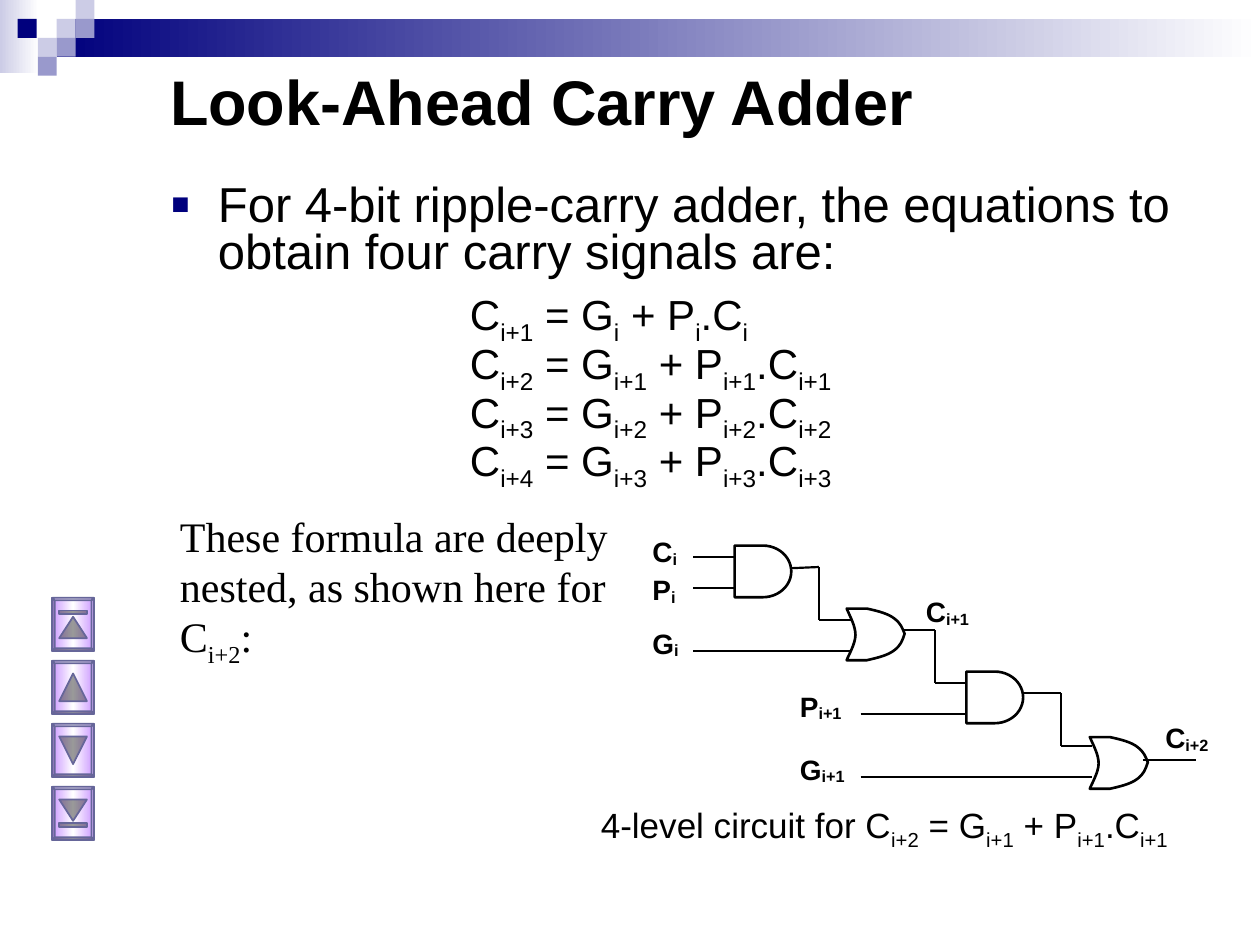
from dataclasses import dataclass
from itertools import pairwise

from lxml.etree import SubElement
from pptx import Presentation
from pptx.dml.color import RGBColor
from pptx.enum.shapes import MSO_CONNECTOR, MSO_SHAPE
from pptx.enum.text import MSO_ANCHOR, MSO_AUTO_SIZE, PP_ALIGN
from pptx.oxml.ns import qn
from pptx.util import Inches, Pt

COLORS = {
    "navy": "00007D", "lavender": "CCCCE6", "violet": "9999CC", "white": "FFFFFF",
    "black": "000000", "button": "CC99FF", "button_line": "666699",
}


@dataclass
class Block:
    left: float
    top: float
    width: float
    height: float
    colors: tuple[str, ...]


@dataclass
class Label:
    left: float
    top: float
    lines: tuple[str, ...]
    width: float = 0.68
    height: float = 0.39
    spacing: float = 1.0


def color(name: str) -> RGBColor:
    return RGBColor.from_string(COLORS[name])


def fill_shape(shape, names: tuple[str, ...], angle: int = 0) -> None:
    """One name gives a solid fill, several give evenly spaced gradient stops."""
    if len(names) == 1:
        shape.fill.solid()
        shape.fill.fore_color.rgb = color(names[0])
        return
    shape.fill.gradient()
    shape.fill.gradient_angle = -angle % 360
    stops = shape._element.spPr.find(qn("a:gradFill")).find(qn("a:gsLst"))
    for stop in list(stops):
        stops.remove(stop)
    for index, name in enumerate(names):
        position = 100000 * index // (len(names) - 1)
        stop = SubElement(stops, qn("a:gs"), pos=str(position))
        SubElement(stop, qn("a:srgbClr"), val=COLORS[name])


def add_text(paragraph, text: str, size: float, font: str = "Arial",
             bold: bool = False, drop: int = 25) -> None:
    """Every second part between bars is a subscript."""
    for index, part in enumerate(text.split("|")):
        run = paragraph.add_run()
        run.text = part
        run.font.size, run.font.name, run.font.bold = Pt(size), font, bold
        run.font.color.rgb = color("black")
        if index % 2:
            run._r.get_or_add_rPr().set("baseline", str(-1000 * drop))


def add_box(shapes, left: float, top: float, width: float, height: float, wrap: bool):
    box = shapes.add_textbox(Inches(left), Inches(top), Inches(width), Inches(height))
    box.text_frame.word_wrap = wrap
    return box.text_frame


def add_block(shapes, block: Block) -> None:
    shape = shapes.add_shape(MSO_SHAPE.RECTANGLE, Inches(block.left), Inches(block.top),
                             Inches(block.width), Inches(block.height))
    shape.shadow.inherit = False
    shape.line.fill.background()
    fill_shape(shape, block.colors)


def add_outline(shapes, left: float, top: float, width: float, height: float,
                paths: list[tuple[str, list]]):
    """Each path is a shading mode and its segments: 1 point a line, 3 a curve."""
    right, bottom = Inches(width), Inches(height)
    builder = shapes.build_freeform(0, 0)
    builder.add_line_segments([(right, 0), (right, bottom), (0, bottom)])
    shape = builder.convert_to_shape(Inches(left), Inches(top))
    shape.shadow.inherit = False
    path_list = shape._element.spPr.find(qn("a:custGeom")).find(qn("a:pathLst"))
    path_list.remove(path_list[0])
    for mode, segments in paths:
        path = SubElement(path_list, qn("a:path"), w=str(right), h=str(bottom), fill=mode)
        for index, points in enumerate(segments):
            tag = "a:moveTo" if index == 0 else "a:lnTo" if len(points) == 1 else "a:cubicBezTo"
            segment = SubElement(path, qn(tag))
            for x, y in points:
                SubElement(segment, qn("a:pt"), x=str(Inches(x)), y=str(Inches(y)))
        SubElement(path, qn("a:close"))
    return shape


def set_line(shape, name: str, width: float) -> None:
    shape.line.color.rgb = color(name)
    shape.line.width = Pt(width)


def add_and_gate(shapes, left: float, top: float) -> None:
    gate = shapes.add_shape(MSO_SHAPE.FLOWCHART_DELAY, Inches(left), Inches(top),
                            Inches(0.45), Inches(0.41))
    gate.shadow.inherit = False
    gate.fill.background()
    set_line(gate, "black", 1.5)


def add_or_gate(shapes, left: float, top: float) -> None:
    segments = [
        [(0, 0)], [(0.16, 0)],
        [(0.25, 0.02), (0.33, 0.04), (0.38, 0.08)],
        [(0.43, 0.12), (0.44, 0.15), (0.46, 0.2)],
        [(0.44, 0.26), (0.43, 0.29), (0.38, 0.33)],
        [(0.33, 0.37), (0.25, 0.39), (0.16, 0.41)],
        [(0, 0.41)],
        [(0.01, 0.38), (0.07, 0.28), (0.07, 0.21)],
        [(0.07, 0.14), (0.03, 0.07), (0, 0)],
    ]
    gate = add_outline(shapes, left, top, 0.46, 0.41, [("norm", segments)])
    gate.fill.background()
    set_line(gate, "black", 1.5)


def add_wire(shapes, points: list[tuple[float, float]]) -> None:
    for start, end in pairwise(points):
        wire = shapes.add_connector(MSO_CONNECTOR.STRAIGHT, *map(Inches, start + end))
        set_line(wire, "black", 1.25)
        SubElement(wire._element.spPr, qn("a:effectLst"))


def add_label(shapes, label: Label) -> None:
    frame = add_box(shapes, label.left, label.top, label.width, label.height, False)
    for index, line in enumerate(label.lines):
        paragraph = frame.add_paragraph() if index else frame.paragraphs[0]
        paragraph.line_spacing = label.spacing
        add_text(paragraph, line, 16, bold=True, drop=10)


def add_button(shapes, top: float, down: bool, bar: bool) -> None:
    """A bevelled button lying on its side, turned upright by its rotation."""
    width, height, edge = 0.42, 0.33, 0.02
    outer = [(0, 0), (width, 0), (width, height), (0, height)]
    inner = [(edge, edge), (width - edge, edge),
             (width - edge, height - edge), (edge, height - edge)]
    symbols = [[(0.15 if bar else 0.1, 0.165), (0.32, 0.055), (0.32, 0.275)]]
    if bar:
        symbols.append([(0.1, 0.055), (0.13, 0.055), (0.13, 0.275), (0.1, 0.275)])
    if down:
        symbols = [[(width - x, y) for x, y in symbol] for symbol in symbols]
    polygons = [("norm", outer)]
    for side, mode in enumerate(("lightenLess", "darken", "darkenLess", "lighten")):
        following = (side + 1) % 4
        polygons.append((mode, [outer[side], outer[following], inner[following], inner[side]]))
    polygons += [("darken", symbol) for symbol in symbols]
    paths = [(mode, [[point] for point in points]) for mode, points in polygons]
    button = add_outline(shapes, 0.37, top, width, height, paths)
    button.rotation = 90
    fill_shape(button, ("button", "white", "button"), 90)
    set_line(button, "button_line", 1)


def place(shape, left: float, top: float, width: float, height: float) -> None:
    shape.left, shape.top = Inches(left), Inches(top)
    shape.width, shape.height = Inches(width), Inches(height)
    shape.text_frame.auto_size = MSO_AUTO_SIZE.NONE


presentation = Presentation()
presentation.slide_width, presentation.slide_height = Inches(10), Inches(7.5)
slide = presentation.slides.add_slide(presentation.slide_layouts[1])
shapes = slide.shapes

# Header band and squares
add_block(shapes, Block(0, 0, 0.31, 0.58, ("lavender", "white")))
add_block(shapes, Block(0.45, 0.15, 9.55, 0.3, ("navy", "white")))
for left, top, name in [(0.45, 0.15, "lavender"), (0.6, 0, "lavender"), (0.6, 0.15, "violet"),
                        (0.3, 0.3, "lavender"), (0.14, 0.15, "navy"), (0.45, 0.3, "violet"),
                        (0.3, 0.45, "violet")]:
    add_block(shapes, Block(left, top, 0.15, 0.15, (name,)))

# Title
title = shapes.title
place(title, 1.25, 0.17, 8.5, 1.25)
title.text_frame.vertical_anchor = MSO_ANCHOR.MIDDLE
title.text_frame.paragraphs[0].alignment = PP_ALIGN.LEFT
add_text(title.text_frame.paragraphs[0], "Look-Ahead Carry Adder", 36, bold=True)

# Bullet and carry equations
body = shapes.placeholders[1]
place(body, 1.25, 1.42, 8.5, 2.58)
bullet = body.text_frame.paragraphs[0]
properties = bullet._p.get_or_add_pPr()
properties.set("marL", str(Inches(0.38)))
properties.set("indent", str(Inches(-0.38)))
SubElement(SubElement(properties, qn("a:buClr")), qn("a:srgbClr"), val=COLORS["navy"])
SubElement(properties, qn("a:buSzPct"), val="120000")
SubElement(properties, qn("a:buFont"), typeface="Arial")
SubElement(properties, qn("a:buChar"), char="▪")
bullet.line_spacing, bullet.space_before = 0.8, Pt(0)
add_text(bullet, "For 4-bit ripple-carry adder, the equations to obtain four carry signals are:", 28)
for number in range(1, 5):
    equation = body.text_frame.add_paragraph()
    properties = equation._p.get_or_add_pPr()
    properties.set("marL", str(Inches(2.38)))
    properties.set("indent", "0")
    SubElement(properties, qn("a:buNone"))
    equation.line_spacing, equation.space_before = 0.8, Pt(8.5 if number == 1 else 1.5)
    source = "i" if number == 1 else f"i+{number - 1}"
    add_text(equation, f"C|i+{number}| = G|{source}| + P|{source}|.C|{source}", 24)

# Remark
remark = add_box(shapes, 1.33, 4, 3.67, 1.5, True)
add_text(remark.paragraphs[0], "These formula are deeply nested, as shown here for C|i+2|:",
         24, "Times New Roman")

# Circuit
circuit = shapes.add_group_shape().shapes
for left, top in [(5.83, 4.33), (7.67, 5.33)]:
    add_and_gate(circuit, left, top)
for left, top in [(6.72, 4.83), (8.65, 5.85)]:
    add_or_gate(circuit, left, top)
for points in [
    [(5.5, 4.42), (5.83, 4.42)], [(5.5, 4.67), (5.83, 4.67)], [(5.5, 5.17), (6.75, 5.17)],
    [(6.83, 5.67), (7.67, 5.67)], [(6.83, 6.17), (8.67, 6.17)], [(9.07, 6.03), (9.49, 6.03)],
    [(6.27, 4.51), (6.5, 4.5), (6.5, 4.92), (6.75, 4.92)],
    [(7.17, 5), (7.42, 5), (7.42, 5.42), (7.67, 5.42)],
    [(8.13, 5.5), (8.42, 5.5), (8.42, 5.92), (8.67, 5.92)],
]:
    add_wire(circuit, points)
for label in [
    Label(5.08, 4.17, ("C|i", "P|i"), 0.42, 0.58, 1.1), Label(5.08, 4.92, ("G|i",), 0.42, 0.3),
    Label(6.25, 5.42, ("P|i+1",)), Label(6.25, 5.92, ("G|i+1",)),
    Label(7.25, 4.67, ("C|i+1",)), Label(9.15, 5.67, ("C|i+2",)),
]:
    add_label(circuit, label)

# Caption
caption = add_box(shapes, 4.67, 6.33, 4.92, 0.48, True)
add_text(caption.paragraphs[0], "4-level circuit for C|i+2| = G|i+1| + P|i+1|.C|i+1", 20)

# Navigation buttons: first, previous, next, last
for index, (down, bar) in enumerate([(False, True), (False, False), (True, False), (True, True)]):
    add_button(shapes, 4.79 + 0.5 * index, down, bar)

presentation.save("out.pptx")
